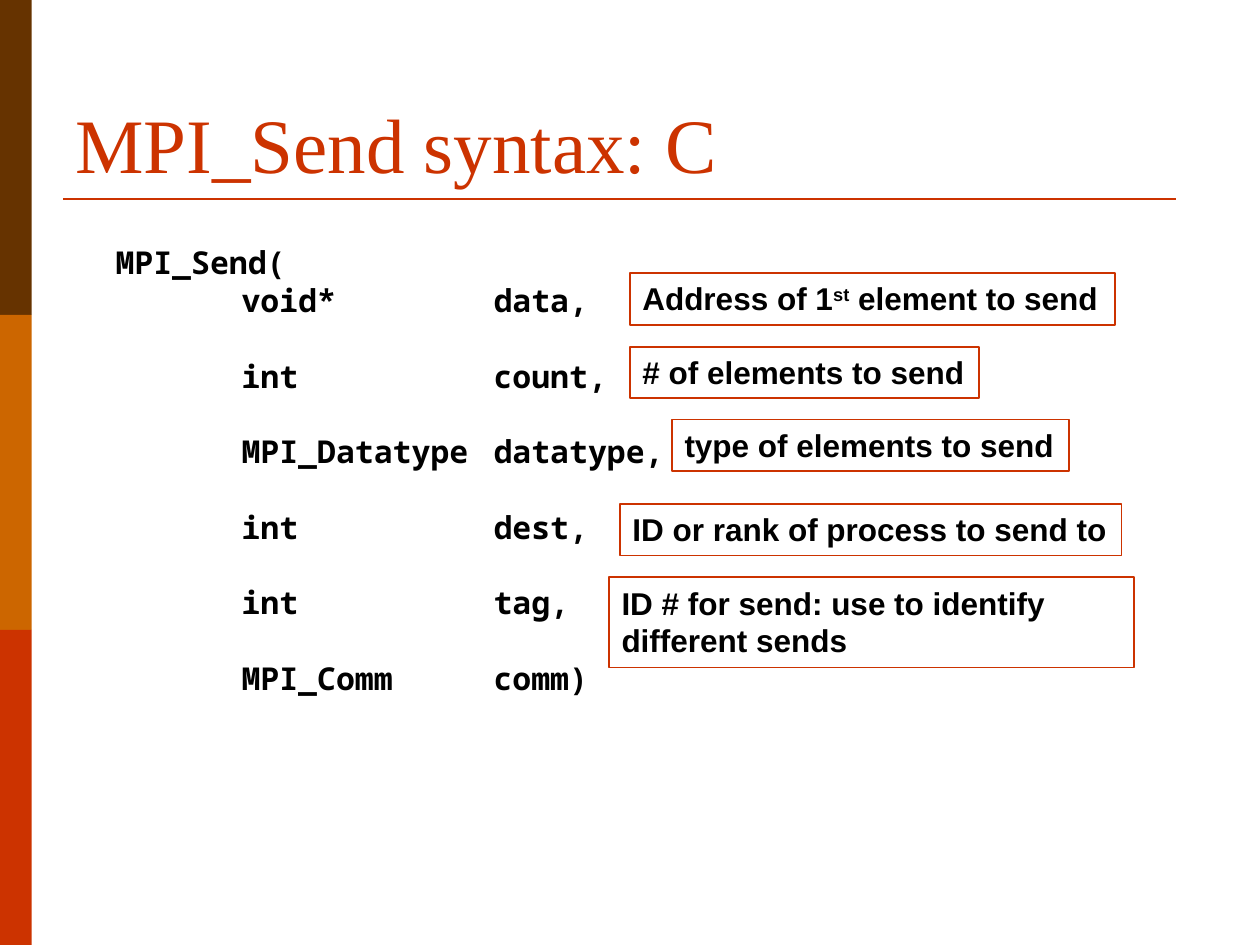
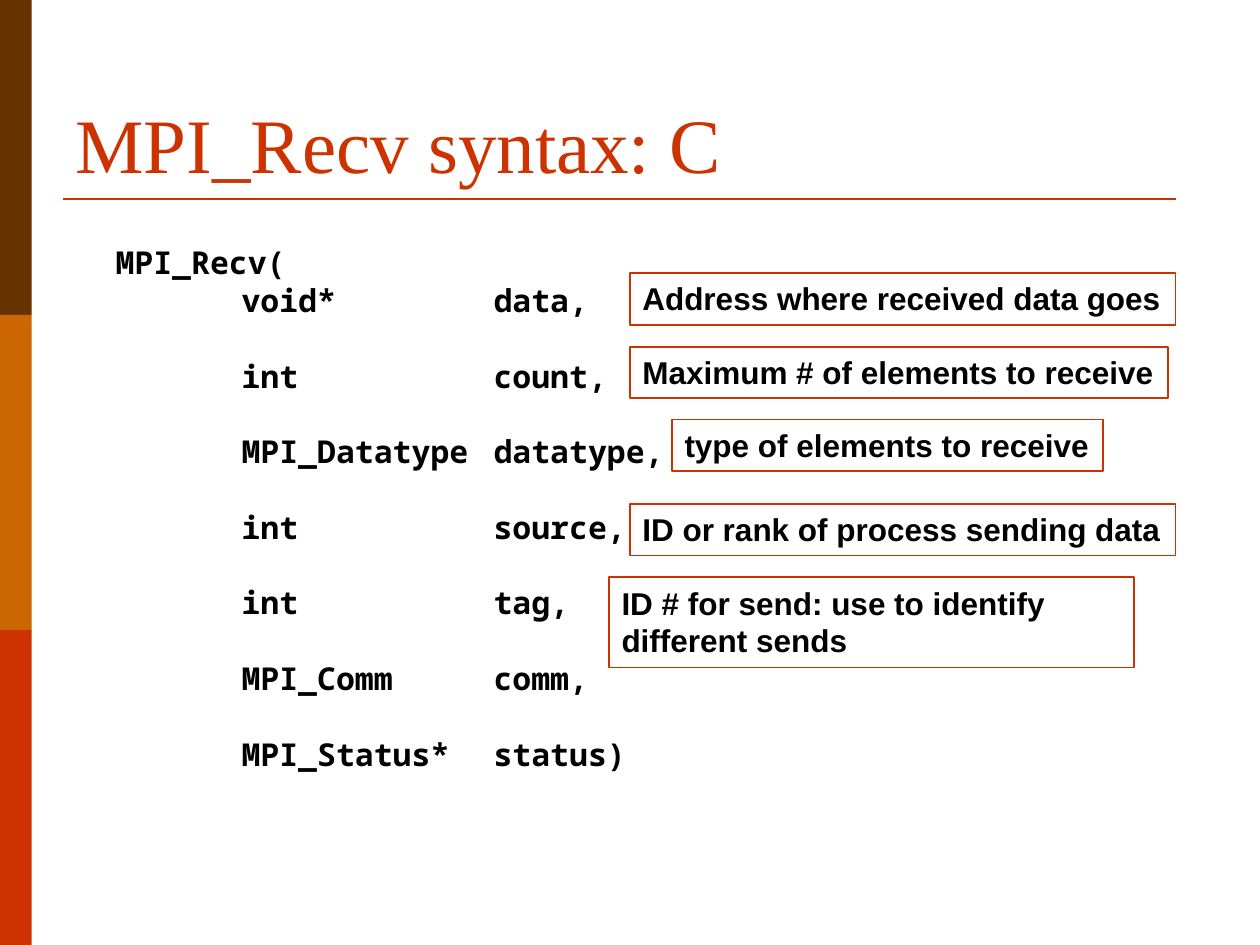
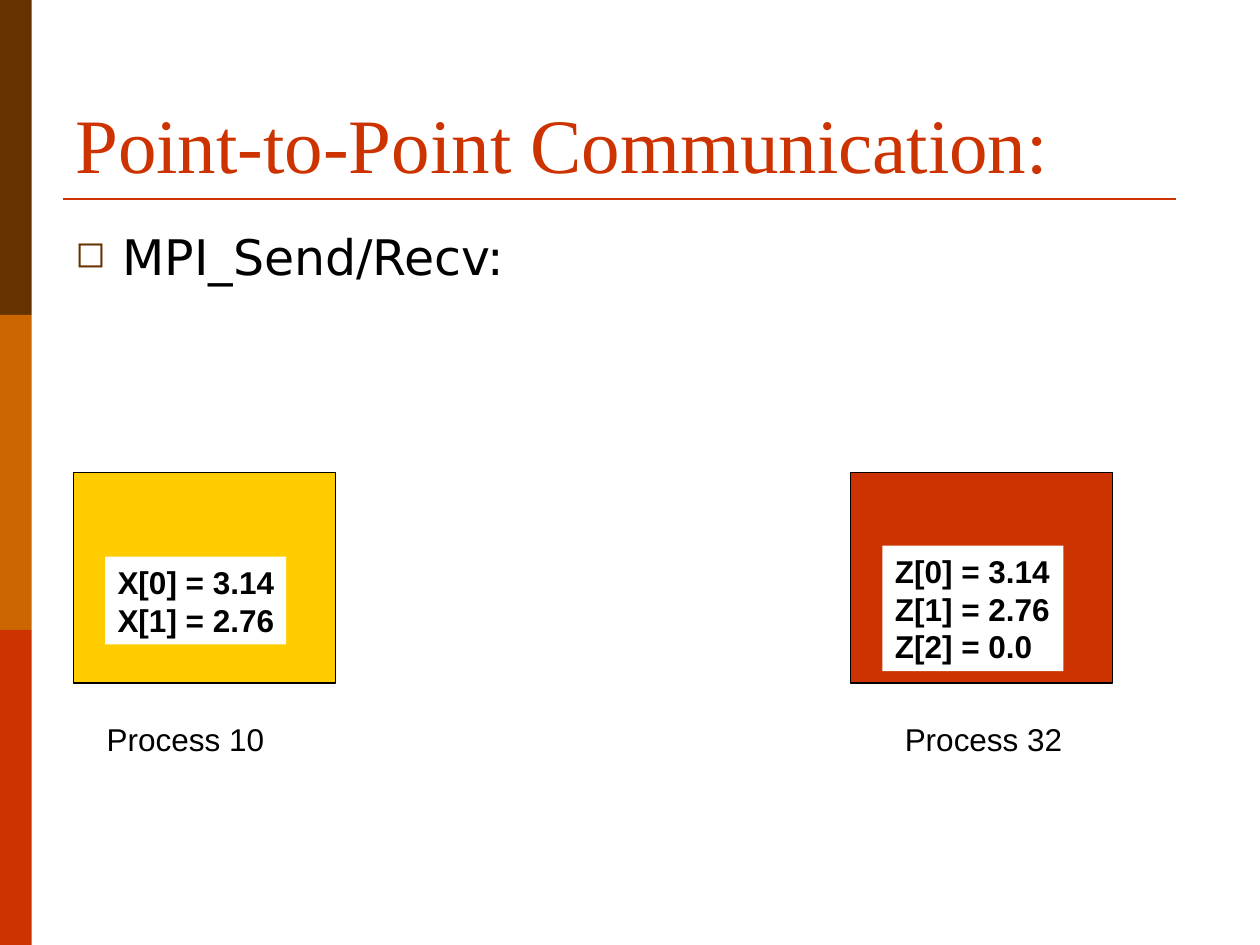
from dataclasses import dataclass

from pptx import Presentation
from pptx.dml.color import RGBColor
from pptx.enum.shapes import MSO_CONNECTOR, MSO_SHAPE
from pptx.enum.text import MSO_ANCHOR, PP_ALIGN
from pptx.oxml.ns import qn
from pptx.oxml.xmlchemy import OxmlElement
from pptx.util import Cm, Pt

RECTANGLE = MSO_SHAPE.RECTANGLE
STRAIGHT = MSO_CONNECTOR.STRAIGHT
TOP, BOTTOM = MSO_ANCHOR.TOP, MSO_ANCHOR.BOTTOM
LEFT = PP_ALIGN.LEFT


@dataclass(frozen=True)
class Theme:
    brown: str = "663300"
    orange: str = "CC6600"
    red: str = "CC3300"
    yellow: str = "FFCC00"
    white: str = "FFFFFF"
    black: str = "000000"
    title_font: str = "Times New Roman"
    body_font: str = "DejaVu Sans"
    code_font: str = "Noto Sans Mono"
    label_font: str = "Arial"
    title_size: float = 44
    body_size: float = 28
    text_size: float = 18
    parameter_gap: float = 21.6


def add_child(parent, tag, **attributes):
    child = OxmlElement(tag)
    for name, value in attributes.items():
        child.set(name, value)
    parent.append(child)
    return child


class Deck:
    def __init__(self, theme):
        self.theme = theme
        self.file = Presentation()
        self.file.slide_width, self.file.slide_height = Cm(25.4), Cm(19.05)
        self.slide = None

    def new_slide(self, title):
        """Start a slide with the side bands, the rule and its title."""
        theme = self.theme
        self.slide = self.file.slides.add_slide(self.file.slide_layouts[6])
        for row, color in enumerate((theme.brown, theme.orange, theme.red)):
            self.box(0, row * 6.35, 0.64, 6.35, fill=color)
        self.rule(1.27, 23.7, 4.01)
        self.text(1.27, 0.76, 22.86, 3.18, [title], theme.title_font,
                  theme.title_size, color=theme.red, anchor=BOTTOM, wrap=True)

    def rule(self, start, end, y):
        line = self.slide.shapes.add_connector(
            STRAIGHT, Cm(start), Cm(y), Cm(end), Cm(y))
        line.line.color.rgb = RGBColor.from_string(self.theme.red)
        line.line.width = Pt(1.5)
        add_child(line._element.spPr, "a:effectLst")

    def box(self, x, y, width, height, fill=None, outline=None, weight=0.75):
        shape = self.slide.shapes.add_shape(
            RECTANGLE, Cm(x), Cm(y), Cm(width), Cm(height))
        shape.shadow.inherit = False
        if fill:
            shape.fill.solid()
            shape.fill.fore_color.rgb = RGBColor.from_string(fill)
        else:
            shape.fill.background()
        if outline:
            shape.line.color.rgb = RGBColor.from_string(outline)
            shape.line.width = Pt(weight)
        else:
            shape.line.fill.background()
        return shape

    def put_lines(self, shape, lines, font, size, bold=False, color=None,
                  anchor=TOP, wrap=False):
        """Fill a shape with lines; text between carets is superscript."""
        frame = shape.text_frame
        frame.word_wrap = wrap
        frame.vertical_anchor = anchor
        for number, line in enumerate(lines):
            paragraph = frame.add_paragraph() if number else frame.paragraphs[0]
            paragraph.alignment = LEFT
            paragraph.font.name = font
            paragraph.font.size = Pt(size)
            paragraph.font.bold = bold
            paragraph.font.color.rgb = RGBColor.from_string(
                color or self.theme.black)
            for index, part in enumerate(line.split("^")):
                run = paragraph.add_run()
                run.text = part
                if index % 2:
                    run._r.get_or_add_rPr().set("baseline", "30000")
        return frame.paragraphs

    def text(self, x, y, width, height, lines, font, size, **style):
        shape = self.slide.shapes.add_textbox(
            Cm(x), Cm(y), Cm(width), Cm(height))
        return self.put_lines(shape, lines, font, size, **style)

    def signature(self, function, parameters):
        """List a call with types and names aligned on two tab stops."""
        theme = self.theme
        lines = [f"{function}("]
        lines += [f"\t{kind}\t{name}," for kind, name in parameters]
        lines[-1] = lines[-1][:-1] + ")"
        height = 0.25 + 0.76 * 2 * len(parameters)
        paragraphs = self.text(2.08, 4.78, 11.58, height, lines,
                               theme.code_font, theme.text_size, bold=True)
        for number, paragraph in enumerate(paragraphs):
            if number > 1:
                paragraph.space_before = Pt(theme.parameter_gap)
            stops = OxmlElement("a:tabLst")
            for stop in (2.54, 7.62):
                add_child(stops, "a:tab", pos=str(int(Cm(stop))), algn="l")
            paragraph._p.pPr.find(qn("a:defRPr")).addprevious(stops)

    def note(self, x, y, width, words, height=1.04, wrap=False):
        theme = self.theme
        shape = self.box(x, y, width, height, outline=theme.red, weight=1)
        self.put_lines(shape, [words], theme.label_font, theme.text_size,
                       bold=True, wrap=wrap)

    def bullet(self, words):
        theme = self.theme
        item = self.text(1.27, 4.45, 23.5, 13.77, [words], theme.body_font,
                         theme.body_size, wrap=True)[0]
        item.space_before = Pt(3.6)
        properties = item._p.pPr
        properties.set("marL", str(int(Cm(0.95))))
        properties.set("indent", str(int(Cm(-0.95))))
        color = OxmlElement("a:buClr")
        add_child(color, "a:srgbClr", val=theme.brown)
        size = OxmlElement("a:buSzPct")
        size.set("val", "75000")
        mark = OxmlElement("a:buChar")
        mark.set("char", "\u25fb")
        for part in (color, size, mark):
            properties.find(qn("a:defRPr")).addprevious(part)

    def process(self, x, fill, name, name_x, values, values_y):
        """Draw a process with the values in its memory and its name."""
        theme = self.theme
        self.text(name_x, 14.4, 3.68, 1.02, [name], theme.label_font,
                  theme.text_size)
        self.box(x, 9.53, 5.28, 4.24, fill=fill, outline=theme.black)
        memory = self.box(x + 0.64, values_y, 3.65, 0.25 + 0.76 * len(values),
                          fill=theme.white)
        self.put_lines(memory, values, theme.label_font, theme.text_size,
                       bold=True)


theme = Theme()
deck = Deck(theme)

# What the two calls have in common
NOTE_ROWS = (5.51, 6.99, 8.46, 10.16)
TAG_NOTE = "ID # for send: use to identify different sends"
message = [("void*", "data"), ("int", "count"), ("MPI_Datatype", "datatype")]
channel = [("int", "tag"), ("MPI_Comm", "comm")]

# Each call: function, parameters, notes as (left, width, words)
calls = [
    ("MPI_Send", message + [("int", "dest")] + channel, [
        (12.7, 9.78, "Address of 1^st^ element to send"),
        (12.7, 7.04, "# of elements to send"),
        (13.55, 8.0, "type of elements to send"),
        (12.5, 10.11, "ID or rank of process to send to"),
    ]),
    ("MPI_Recv",
     message + [("int", "source")] + channel + [("MPI_Status*", "status")], [
         (12.7, 11.0, "Address where received data goes"),
         (12.7, 10.85, "Maximum # of elements to receive"),
         (13.55, 8.69, "type of elements to receive"),
         (12.7, 11.0, "ID or rank of process sending data"),
     ]),
]

# Slides 1 and 2: syntax of the calls
for function, parameters, notes in calls:
    deck.new_slide(f"{function} syntax: C")
    deck.signature(function, parameters)
    for y, (x, width, words) in zip(NOTE_ROWS, notes):
        deck.note(x, y, width, words)
    deck.note(12.28, 11.64, 10.58, TAG_NOTE, height=1.82, wrap=True)

# Slide 3: two processes
deck.new_slide("Point-to-Point Communication:")
deck.bullet("MPI_Send/Recv:")
deck.process(1.48, theme.yellow, "Process 10", 1.9,
             ["X[0] = 3.14", "X[1] = 2.76"], 11.22)
deck.process(17.15, theme.red, "Process 32", 17.99,
             ["Z[0] = 3.14", "Z[1] = 2.76", "Z[2] = 0.0"], 11.0)

deck.file.save("out.pptx")
